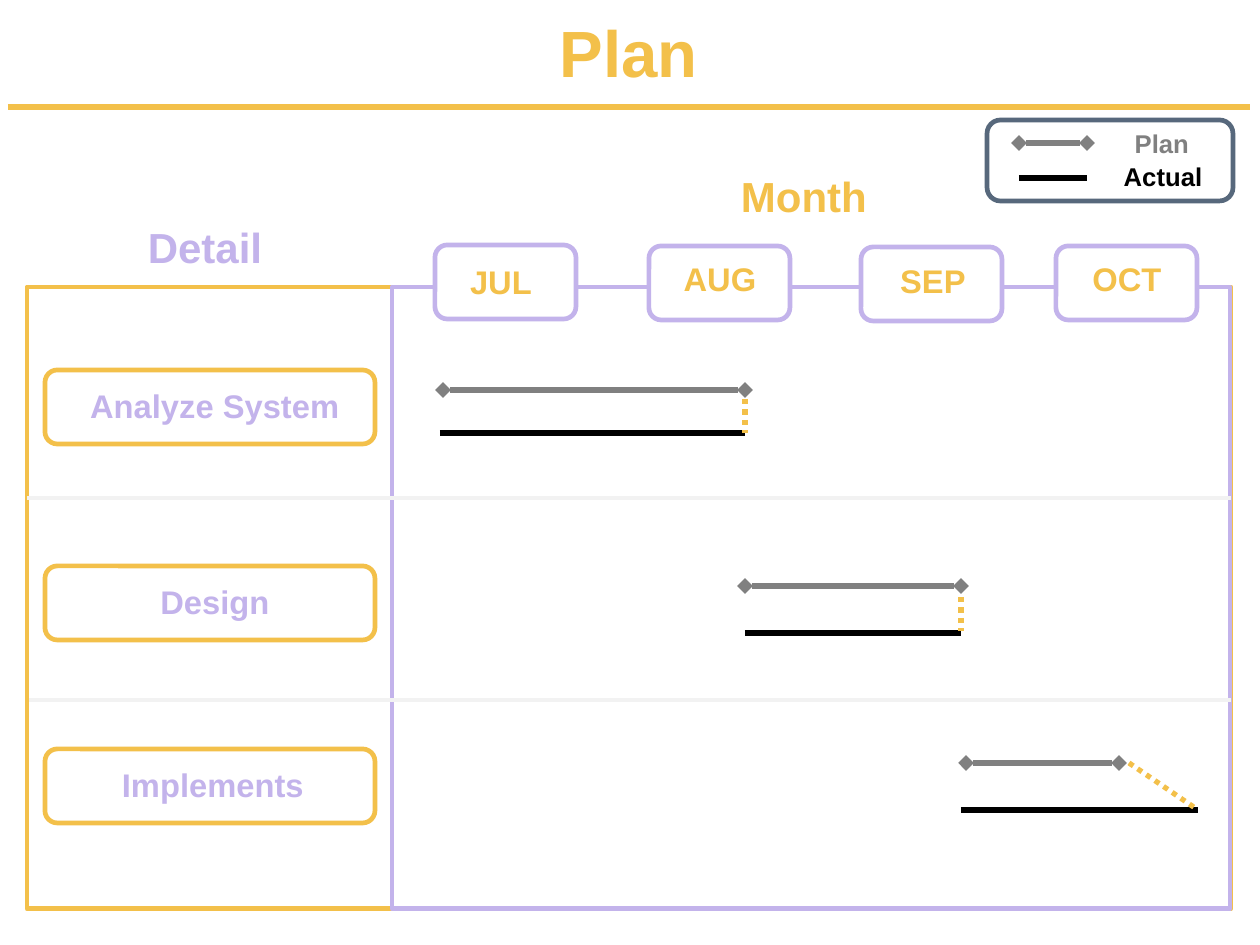
"""Build a project plan slide with planned and actual bars per task."""
from dataclasses import dataclass
from typing import NamedTuple, Union

from lxml import etree
from pptx import Presentation
from pptx import util as u
from pptx.dml import color
from pptx.enum import dml, shapes, text
from pptx.oxml import ns
from pptx.shapes import autoshape, connector, shapetree
from pptx.text import text as tx

PX_PER_INCH = 168
Canvas = Union[shapetree.SlideShapes, shapetree.GroupShapes]


@dataclass(frozen=True)
class Theme:
    """Colours and type sizes of the slide."""
    font: str = "Arial"
    gold: str = "F3C04A"
    lilac: str = "C3B3EB"
    slate: str = "57687C"
    gray: str = "808080"
    pale: str = "F2F2F2"
    black: str = "000000"
    white: str = "FFFFFF"
    title_size: int = 28
    heading_size: int = 18
    label_size: int = 14
    legend_size: int = 11
    frame_width: float = 2
    bar_width: float = 2.25


class Box(NamedTuple):
    """Rectangle in px."""
    left: int
    top: int
    width: int
    height: int


class Segment(NamedTuple):
    """Straight line in px."""
    x1: int
    y1: int
    x2: int
    y2: int


class Month(NamedTuple):
    """Month tag with the corners of its frame and its label."""
    name: str
    left: int
    top: int
    label_left: int
    label_top: int


class Task(NamedTuple):
    """Task with its frame top, label left and three bars."""
    name: str
    top: int
    label_left: int
    plan: Segment
    actual: Segment
    delay: Segment


THEME = Theme()
MONTHS = (
    Month("JUL", 435, 245, 411, 224),
    Month("AUG", 649, 246, 630, 221),
    Month("SEP", 861, 247, 843, 223),
    Month("OCT", 1056, 246, 1037, 221),
)
TASKS = (
    Task("Analyze System", 370, 46, Segment(443, 390, 745, 390),
         Segment(440, 433, 745, 433), Segment(745, 399, 745, 433)),
    Task("Design", 566, 46, Segment(745, 586, 961, 586),
         Segment(745, 633, 961, 633), Segment(961, 597, 961, 631)),
    Task("Implements", 749, 44, Segment(966, 763, 1119, 763),
         Segment(961, 810, 1198, 810), Segment(1129, 763, 1198, 810)),
)


def px(value: int) -> u.Emu:
    """Turn px into EMU."""
    return u.Emu(round(value * 914400 / PX_PER_INCH))


def rgb(value: str) -> color.RGBColor:
    """Turn a hex string into a colour."""
    return color.RGBColor.from_string(value)


def write(frame: tx.TextFrame, words: str, size: int, ink: str) -> None:
    """Fill a text frame with one centred bold line."""
    frame.text = words
    frame.word_wrap = True
    frame.vertical_anchor = text.MSO_ANCHOR.MIDDLE
    paragraph = frame.paragraphs[0]
    paragraph.alignment = text.PP_ALIGN.CENTER
    font = paragraph.runs[0].font
    font.name, font.size, font.bold = THEME.font, u.Pt(size), True
    font.color.rgb = rgb(ink)


def add_label(canvas: Canvas, box: Box, words: str, size: int, ink: str) -> None:
    """Add a text box."""
    write(canvas.add_textbox(*map(px, box)).text_frame, words, size, ink)


def add_frame(canvas: Canvas, box: Box, ink: str, rounded: bool = True) -> autoshape.Shape:
    """Add a white outlined rectangle."""
    kind = shapes.MSO_SHAPE.ROUNDED_RECTANGLE if rounded else shapes.MSO_SHAPE.RECTANGLE
    shape = canvas.add_shape(kind, *map(px, box))
    shape.shadow.inherit = False
    shape.fill.solid()
    shape.fill.fore_color.rgb = rgb(THEME.white)
    shape.line.color.rgb = rgb(ink)
    shape.line.width = u.Pt(THEME.frame_width)
    return shape


def add_line(canvas: Canvas, segment: Segment, ink: str,
             width: float = THEME.bar_width) -> connector.Connector:
    """Add a plain straight line."""
    line = canvas.add_connector(shapes.MSO_CONNECTOR.STRAIGHT, *map(px, segment))
    line.line.color.rgb = rgb(ink)
    line.line.width = u.Pt(width)
    etree.SubElement(line._element.spPr, ns.qn("a:effectLst"))
    return line


def add_plan_bar(canvas: Canvas, segment: Segment) -> None:
    """Add a gray line with a diamond at each end."""
    outline = add_line(canvas, segment, THEME.gray).line._get_or_add_ln()
    for end in ("a:headEnd", "a:tailEnd"):
        etree.SubElement(outline, ns.qn(end), type="diamond")


def add_month(canvas: Canvas, month: Month) -> None:
    """Add a month tag."""
    add_frame(canvas, Box(month.left, month.top, 141, 74), THEME.lilac)
    add_label(canvas, Box(month.label_left, month.label_top, 180, 114),
              month.name, THEME.label_size, THEME.gold)


def add_task(canvas: Canvas, task: Task) -> None:
    """Add a task tag and its bars."""
    add_frame(canvas, Box(45, task.top, 330, 74), THEME.gold)
    add_label(canvas, Box(task.label_left, task.top - 22, 338, 114),
              task.name, THEME.label_size, THEME.lilac)
    add_plan_bar(canvas, task.plan)
    add_line(canvas, task.actual, THEME.black)
    delay = add_line(canvas, task.delay, THEME.gold)
    delay.line.dash_style = dml.MSO_LINE.ROUND_DOT


def add_legend(canvas: Canvas) -> None:
    """Add the grouped key to the bars."""
    add_frame(canvas, Box(987, 120, 246, 81), THEME.slate)
    add_line(canvas, Segment(1019, 178, 1087, 178), THEME.black)
    add_plan_bar(canvas, Segment(1019, 143, 1087, 143))
    add_label(canvas, Box(1110, 121, 104, 45), "Plan", THEME.legend_size, THEME.gray)
    add_label(canvas, Box(1101, 154, 124, 45), "Actual", THEME.legend_size, THEME.black)


def main() -> None:
    """Build and save the slide."""
    presentation = Presentation()
    presentation.slide_width, presentation.slide_height = px(1260), px(945)
    slide = presentation.slides.add_slide(presentation.slide_layouts[5])
    canvas = slide.shapes

    title = canvas.title
    title.left, title.top, title.width, title.height = map(px, Box(-2, 0, 1261, 102))
    title.fill.solid()
    title.fill.fore_color.rgb = rgb(THEME.white)
    write(title.text_frame, "Plan", THEME.title_size, THEME.gold)
    add_line(canvas, Segment(8, 107, 1250, 107), THEME.gold)

    add_frame(canvas, Box(27, 287, 1204, 622), THEME.gold, rounded=False)
    add_frame(canvas, Box(392, 287, 838, 622), THEME.lilac, rounded=False)
    for left, y in ((27, 498), (29, 700)):
        add_line(canvas, Segment(left, y, 1231, y), THEME.pale, THEME.frame_width)

    add_label(canvas, Box(427, 139, 754, 114), "Month", THEME.heading_size, THEME.gold)
    add_label(canvas, Box(115, 190, 180, 114), "Detail", THEME.heading_size, THEME.lilac)
    for month in MONTHS:
        add_month(canvas, month)
    for task in TASKS:
        add_task(canvas, task)
    add_legend(canvas.add_group_shape().shapes)
    presentation.save("out.pptx")


if __name__ == "__main__":
    main()
